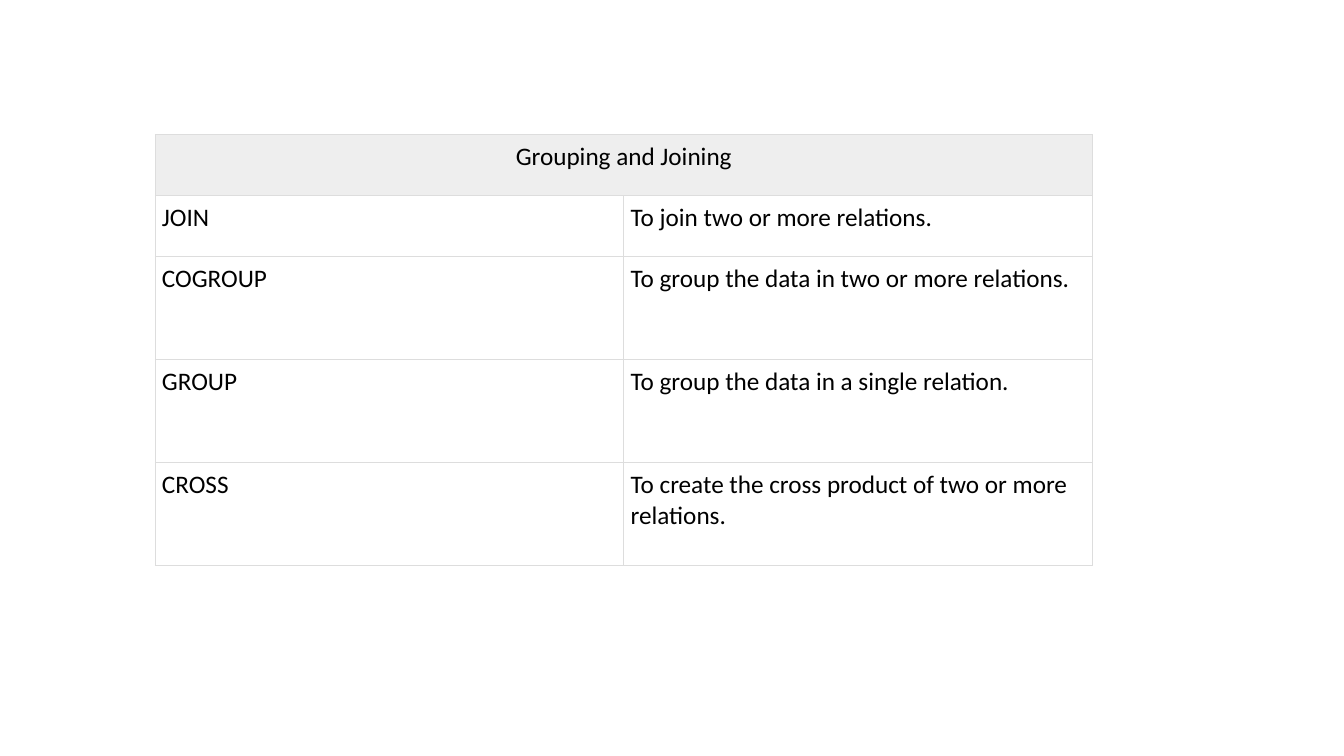
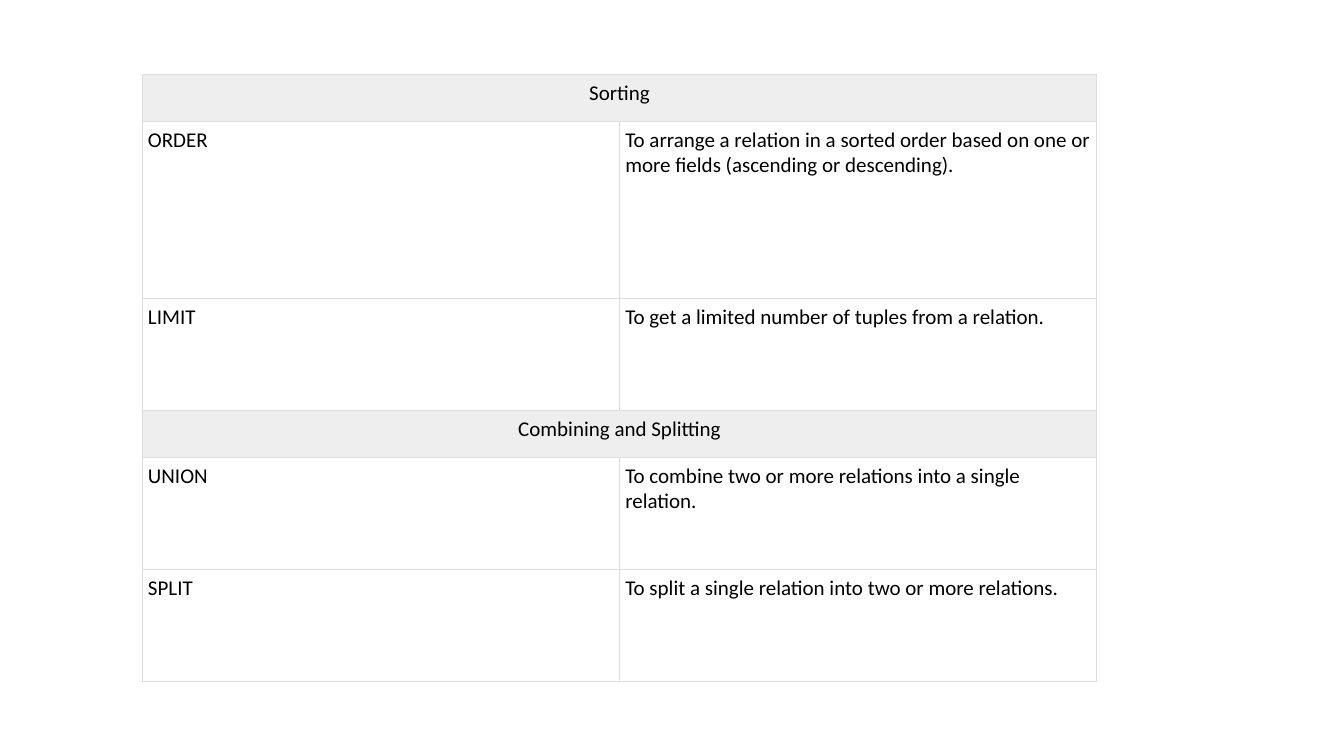
from lxml.etree import SubElement
from pptx import Presentation
from pptx.dml.color import RGBColor
from pptx.enum.text import MSO_ANCHOR as Anchor, PP_ALIGN as Align
from pptx.oxml.ns import qn
from pptx.util import Pt


def color(hex_string):
    return RGBColor.from_string(hex_string)


def write_text(frame, text, *, font, size, ink, align=Align.LEFT):
    paragraph = frame.paragraphs[0]
    paragraph.alignment = align
    run = paragraph.add_run()
    run.text = text
    run.font.name = font
    run.font.size = Pt(size)
    run.font.bold = False
    run.font.color.rgb = color(ink)


class Deck:
    # Shared style
    FONT = "Calibri"
    INK = "000000"
    BAND = "EEEEEE"
    BORDER = "DDDDDD"
    BORDER_WIDTH = 0.6

    def __init__(self, width, height):
        self.presentation = Presentation()
        self.presentation.slide_width = Pt(width)
        self.presentation.slide_height = Pt(height)
        self.slide = None

    def add_slide(self):
        layout = self.presentation.slide_layouts[6]
        self.slide = self.presentation.slides.add_slide(layout)

    def add_borders(self, cell):
        properties = cell._tc.get_or_add_tcPr()
        for side in ("lnL", "lnR", "lnT", "lnB"):
            line = SubElement(properties, qn(f"a:{side}"), w=str(Pt(self.BORDER_WIDTH)))
            fill = SubElement(line, qn("a:solidFill"))
            SubElement(fill, qn("a:srgbClr"), val=self.BORDER)

    def format_cell(self, cell, inset, band):
        cell.margin_left = cell.margin_right = Pt(inset)
        cell.margin_top = cell.margin_bottom = Pt(inset)
        cell.vertical_anchor = Anchor.TOP
        self.add_borders(cell)
        if band:
            cell.fill.solid()
            cell.fill.fore_color.rgb = color(self.BAND)
        else:
            cell.fill.background()

    def add_operator_table(self, rows, *, left, top, column_width, size, inset):
        """Each row is (height, texts); a single text makes a heading band."""
        total_height = sum(height for height, _ in rows)
        table = self.slide.shapes.add_table(
            len(rows), 2, Pt(left), Pt(top), Pt(2 * column_width), Pt(total_height)
        ).table
        table.first_row = table.horz_banding = False
        for column in table.columns:
            column.width = Pt(column_width)

        for index, (height, texts) in enumerate(rows):
            table.rows[index].height = Pt(height)
            cells = [table.cell(index, column) for column in range(2)]
            band = len(texts) == 1
            if band:
                cells[0].merge(cells[1])
            for cell in cells:
                self.format_cell(cell, inset, band)
            for cell, text in zip(cells, texts):
                write_text(cell.text_frame, text, font=self.FONT, size=size, ink=self.INK,
                           align=Align.CENTER if band else Align.LEFT)


deck = Deck(960, 540)

# Grouping and joining
deck.add_slide()
deck.add_operator_table(
    [
        (43.5, ["Grouping and Joining"]),
        (43.5, ["JOIN", "To join two or more relations."]),
        (73.6, ["COGROUP", "To group the data in two or more relations."]),
        (73.6, ["GROUP", "To group the data in a single relation."]),
        (73.6, ["CROSS", "To create the cross product of two or more relations."]),
    ],
    left=110.8, top=96.2, column_width=334.8, size=18, inset=4.9,
)

# Sorting, combining and splitting
deck.add_slide()
deck.add_operator_table(
    [
        (33.5, ["Sorting"]),
        (126.5, ["ORDER", "To arrange a relation in a sorted order based on one or "
                          "more fields (ascending or descending)."]),
        (80, ["LIMIT", "To get a limited number of tuples from a relation."]),
        (33.5, ["Combining and Splitting"]),
        (80, ["UNION", "To combine two or more relations into a single relation."]),
        (80, ["SPLIT", "To split a single relation into two or more relations."]),
    ],
    left=101.5, top=53.2, column_width=341, size=15, inset=4.2,
)

deck.presentation.save("out.pptx")
